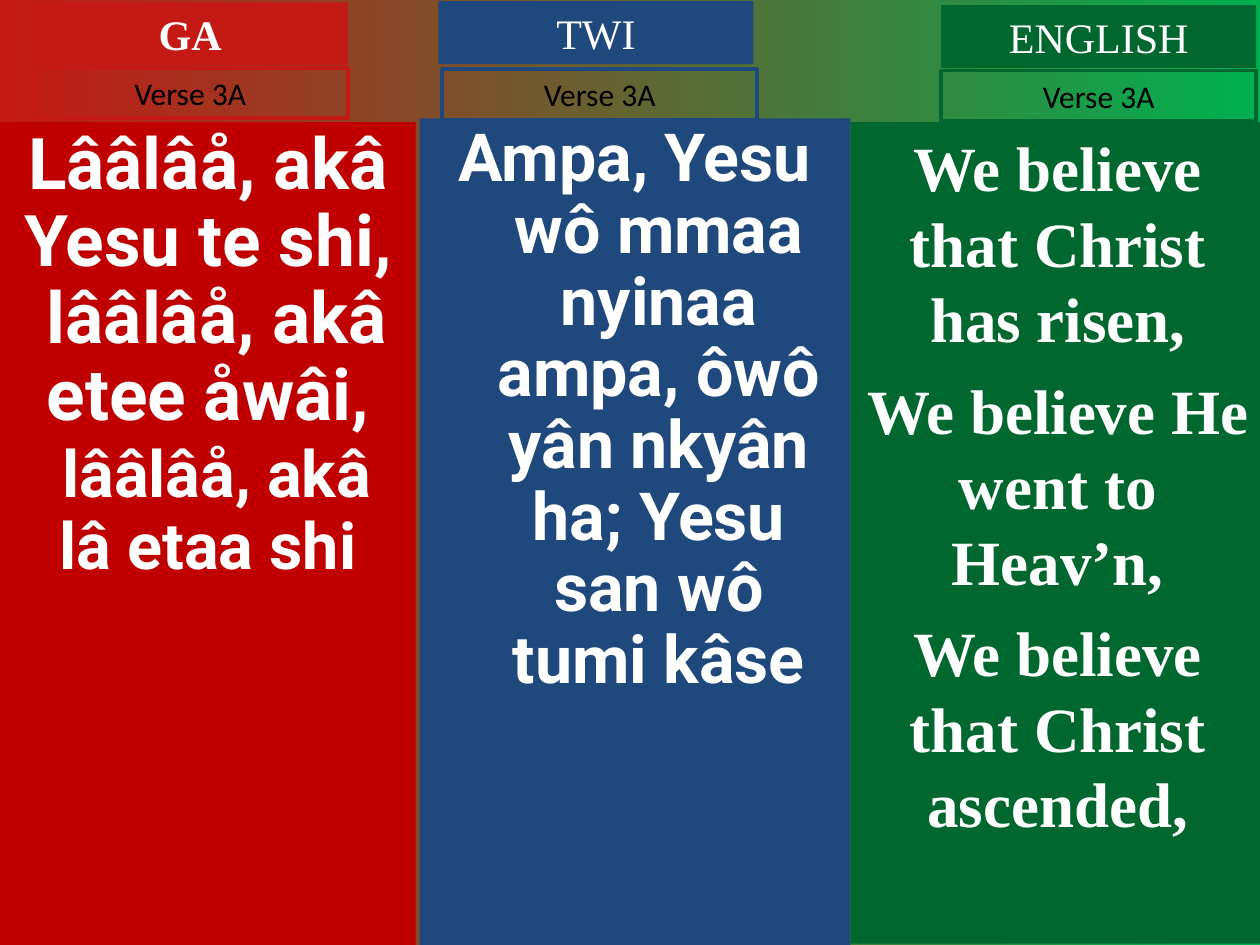
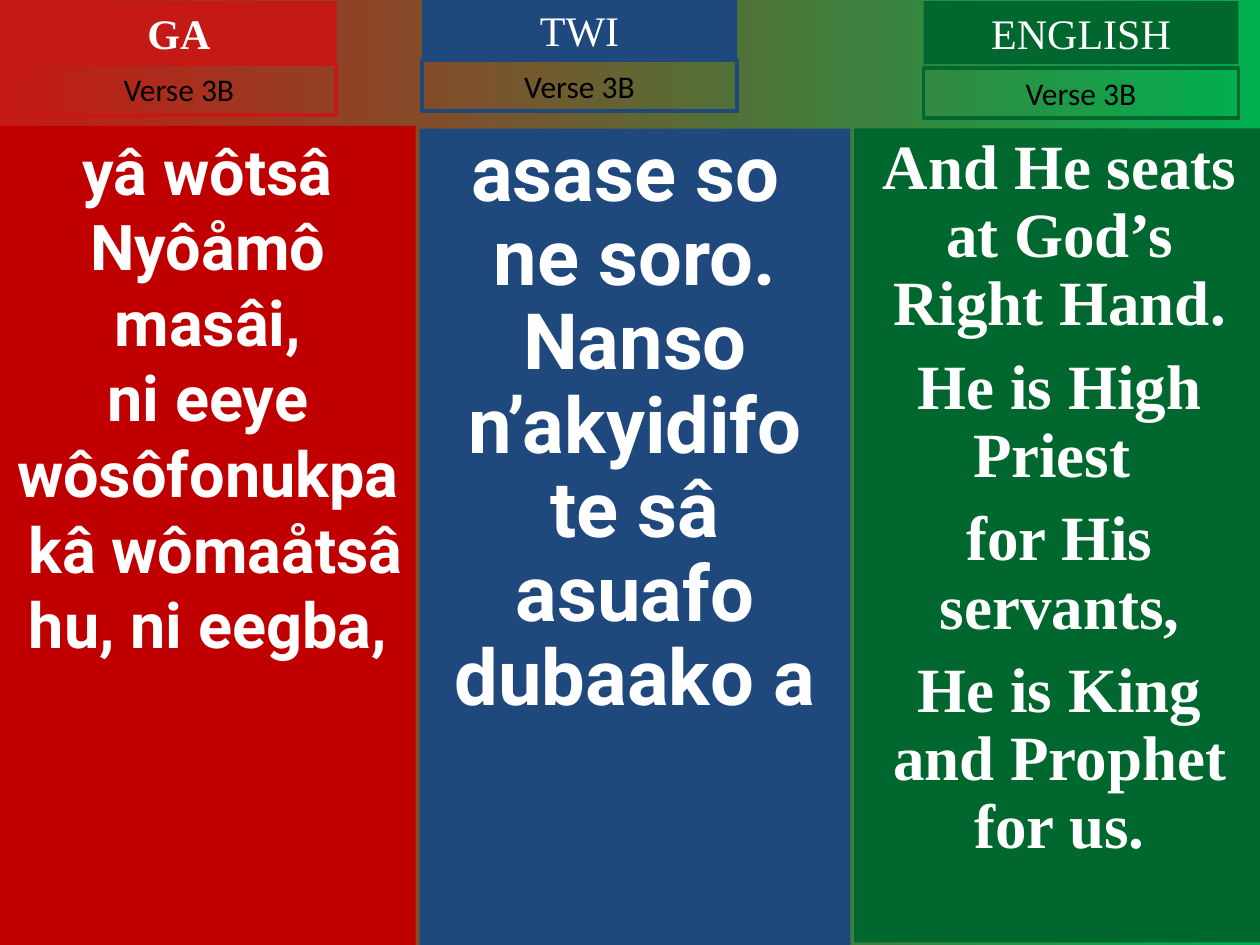
from dataclasses import dataclass

from pptx import Presentation
from pptx.dml.color import RGBColor
from pptx.enum.shapes import MSO_SHAPE
from pptx.enum.text import MSO_ANCHOR, PP_ALIGN
from pptx.util import Inches, Pt

RECTANGLE = MSO_SHAPE.RECTANGLE
CENTER = PP_ALIGN.CENTER
TOP = MSO_ANCHOR.TOP

# The slide is a grid of 100 columns by 75 rows of square cells.
COLUMNS, ROWS = 100, 75
CELL = Inches(10) / COLUMNS
TAB_WIDTH, TITLE_HEIGHT, VERSE_HEIGHT = 25, 5, 4


@dataclass(frozen=True)
class Theme:
    white: str = "FFFFFF"
    black: str = "000000"
    sunset: str = "C51915"
    meadow: str = "00B050"
    title_font: str = "Times New Roman"
    label_font: str = "Calibri"
    title_size: float = 24
    label_size: float = 18
    frame_width: float = 2.25


@dataclass(frozen=True)
class Language:
    name: str
    tab_color: str
    panel_color: str
    lyric_font: str
    bold_title: bool = False


@dataclass(frozen=True)
class Lyrics:
    """One language's part of a verse; a tuple in lines holds (text, size) runs."""
    panel: tuple
    title_at: tuple
    verse_at: tuple
    size: float
    lines: list
    line_spacing: float = 1.0
    gap: float = 0
    hanging: float = 0


THEME = Theme()
GA = Language("GA", THEME.sunset, "C00000", "Roboto", bold_title=True)
TWI = Language("TWI", "1F497D", "1F497D", "Roboto")
ENGLISH = Language("ENGLISH", "00682F", "00682F", THEME.title_font)

VERSES = {
    "Verse 3A": {
        GA: Lyrics(
            (0, 9.7, 33, 65.3), (2.6, 0.2), (2.6, 5.4), 40.7,
            ["Lââlâå, akâ Yesu te shi,",
             " lââlâå, akâ etee åwâi,",
             ((" ", 40.7), ("lââlâå, akâ lâ etaa shi", 37))],
            line_spacing=0.9),
        TWI: Lyrics(
            (33.3, 9.4, 34.2, 65.6), (34.8, 0.1), (35.1, 5.5), 37.9,
            ["Ampa, Yesu wô mmaa nyinaa ampa, ôwô yân nkyân ha; "
             "Yesu san wô tumi kâse"],
            line_spacing=0.9, hanging=3.8),
        ENGLISH: Lyrics(
            (67.5, 9.7, 32.9, 65.2), (74.7, 0.4), (74.7, 5.6), 36,
            ["We believe that Christ has risen,",
             "We believe He went to Heav’n,",
             "We believe that Christ ascended,"],
            gap=9),
    },
    "Verse 3B": {
        GA: Lyrics(
            (0, 10, 33, 65), (1.7, 0.1), (1.7, 5.1), 36,
            ["yâ wôtsâ Nyôåmô masâi,",
             "ni eeye wôsôfonukpa",
             " kâ wômaåtsâ hu, ni eegba,"]),
        TWI: Lyrics(
            (33.3, 10.2, 34.2, 64.8), (33.5, -0.1), (33.5, 4.8), 44.4,
            ["asase so ",
             "ne soro.",
             "Nanso n’akyidifo te sâ asuafo dubaako a"],
            line_spacing=0.9),
        ENGLISH: Lyrics(
            (67.8, 10.2, 32.6, 64.6), (73.3, 0.1), (73.3, 5.4), 36,
            ["And He seats at God’s Right Hand.",
             "He is High Priest ",
             "for His servants,",
             "He is King and Prophet for us."],
            line_spacing=0.9, gap=9),
    },
}


def cells(count):
    return int(count * CELL)


def rgb(color):
    return RGBColor.from_string(color)


def paint_background(slide):
    fill = slide.background.fill
    fill.gradient()
    fill.gradient_angle = 0
    for stop, color in zip(fill.gradient_stops, (THEME.sunset, THEME.meadow)):
        stop.color.rgb = rgb(color)


def add_box(slide, area, fill=None, frame=None):
    """Draw a rectangle on the grid, filled or framed, and return its text frame."""
    box = slide.shapes.add_shape(RECTANGLE, *map(cells, area))
    box.shadow.inherit = False
    if fill:
        box.fill.solid()
        box.fill.fore_color.rgb = rgb(fill)
    else:
        box.fill.background()
    if frame:
        box.line.color.rgb = rgb(frame)
        box.line.width = Pt(THEME.frame_width)
    else:
        box.line.fill.background()
    box.text_frame.word_wrap = True
    box.text_frame.vertical_anchor = TOP
    return box.text_frame


def style_run(run, font, size, color, bold=False):
    run.font.name = font
    run.font.size = Pt(size)
    run.font.color.rgb = rgb(color)
    run.font.bold = bold


def write_label(frame, text, *style):
    frame.text = text
    paragraph = frame.paragraphs[0]
    paragraph.alignment = CENTER
    style_run(paragraph.runs[0], *style)


def hang_first_line(paragraph, indent):
    properties = paragraph._p.get_or_add_pPr()
    properties.set("marL", str(cells(indent)))
    properties.set("indent", str(-cells(indent)))


def add_lyrics(slide, language, lyrics):
    frame = add_box(slide, lyrics.panel, fill=language.panel_color)
    for number, line in enumerate(lyrics.lines):
        paragraph = frame.add_paragraph() if number else frame.paragraphs[0]
        paragraph.alignment = CENTER
        paragraph.line_spacing = lyrics.line_spacing
        if number:
            paragraph.space_before = Pt(lyrics.gap)
        if lyrics.hanging:
            hang_first_line(paragraph, lyrics.hanging)
        pieces = ((line, lyrics.size),) if isinstance(line, str) else line
        for text, size in pieces:
            run = paragraph.add_run()
            run.text = text
            style_run(run, language.lyric_font, size, THEME.white, True)


def add_heading(slide, language, lyrics, verse):
    title = add_box(slide, (*lyrics.title_at, TAB_WIDTH, TITLE_HEIGHT),
                    fill=language.tab_color)
    write_label(title, language.name, THEME.title_font, THEME.title_size,
                THEME.white, language.bold_title)
    label = add_box(slide, (*lyrics.verse_at, TAB_WIDTH, VERSE_HEIGHT),
                    frame=language.tab_color)
    write_label(label, verse, THEME.label_font, THEME.label_size, THEME.black)


def main():
    deck = Presentation()
    deck.slide_width, deck.slide_height = cells(COLUMNS), cells(ROWS)
    blank = deck.slide_layouts[6]
    for verse, parts in VERSES.items():
        slide = deck.slides.add_slide(blank)
        paint_background(slide)
        for language, lyrics in parts.items():
            add_lyrics(slide, language, lyrics)
        for language, lyrics in parts.items():
            add_heading(slide, language, lyrics, verse)
    deck.save("out.pptx")


if __name__ == "__main__":
    main()
